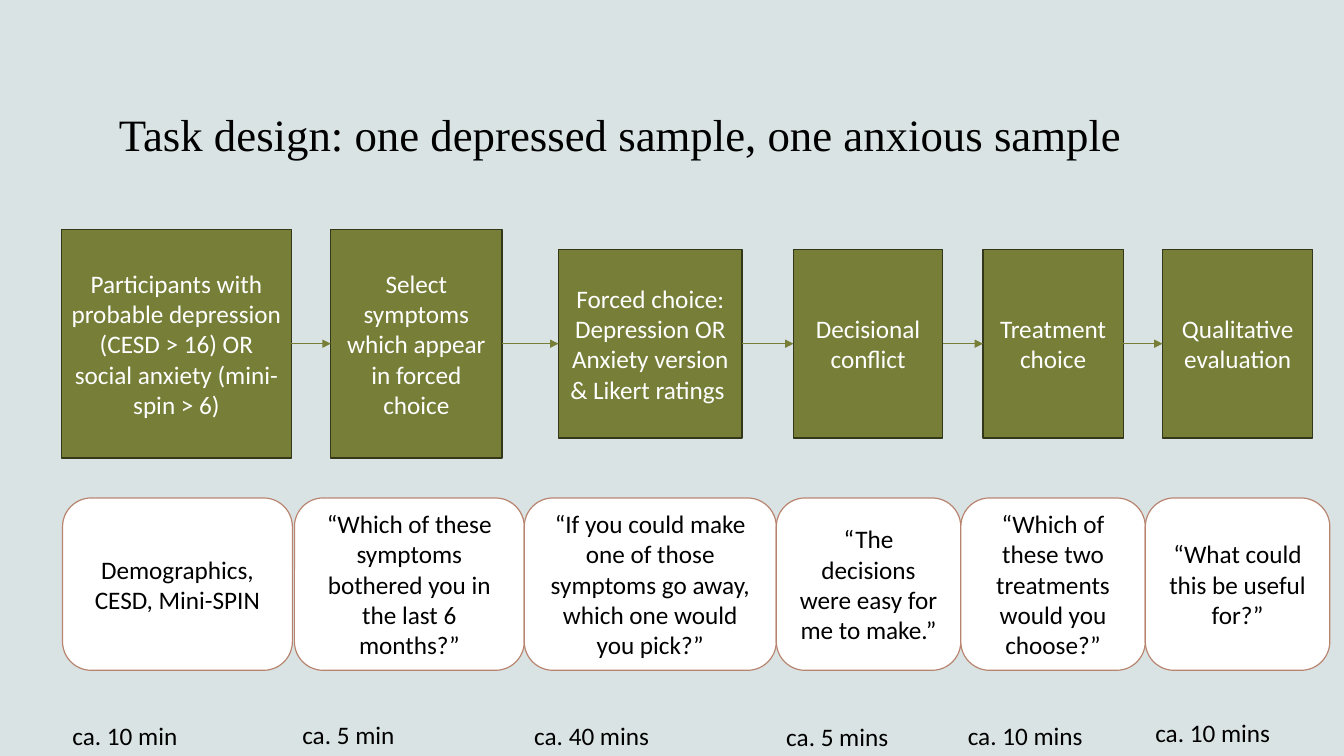
import pptx
import pptx.util
import pptx.dml.color
import pptx.enum.shapes
import pptx.enum.text
import pptx.oxml
import pptx.oxml.ns

Inches = pptx.util.Inches
Pt = pptx.util.Pt
RGBColor = pptx.dml.color.RGBColor
MSO_SHAPE = pptx.enum.shapes.MSO_SHAPE
MSO_ANCHOR = pptx.enum.text.MSO_ANCHOR
PP_ALIGN = pptx.enum.text.PP_ALIGN

BACKGROUND = RGBColor(0xDA, 0xE3, 0xE3)
OLIVE = RGBColor(0x76, 0x7E, 0x37)
DARK_OLIVE = RGBColor(0x34, 0x37, 0x18)
CLAY = RGBColor(0xB8, 0x84, 0x70)
WHITE = RGBColor(0xFF, 0xFF, 0xFF)
BLACK = RGBColor(0, 0, 0)

# Step boxes share one centre line: left, width, height, text
STEP_MIDDLE = 3.41
STEPS = [
    (0.61, 2.28, 2.27, "Participants with probable depression (CESD > 16) OR "
                       "social anxiety (mini-spin > 6)"),
    (3.28, 1.70, 2.27, "Select symptoms which appear in forced choice"),
    (5.54, 1.82, 1.87, "Forced choice:\nDepression OR Anxiety version & Likert ratings "),
    (7.87, 1.48, 1.87, "Decisional conflict"),
    (9.75, 1.39, 1.87, "Treatment choice"),
    (11.53, 1.49, 1.87, "Qualitative evaluation"),
]

# Question boxes: left, width, text
QUESTION_TOP, QUESTION_HEIGHT = 4.94, 1.71
QUESTIONS = [
    (0.62, 2.28, "Demographics, CESD, Mini-SPIN"),
    (2.92, 2.28, "“Which of these symptoms bothered you in the last 6 months?”"),
    (5.20, 2.50, "“If you could make one of those symptoms go away, which one would you pick?”"),
    (7.70, 1.83, "“The decisions were easy for me to make.”"),
    (9.53, 1.83, "“Which of these two treatments would you choose?”"),
    (11.36, 1.83, "“What could this be useful for?”"),
]

# Durations: left, top, width, text
DURATIONS = [
    (0.62, 7.10, 1.37, "ca. 10 min"),
    (2.90, 7.09, 1.23, "ca. 5 min"),
    (5.20, 7.10, 1.49, "ca. 40 mins"),
    (7.70, 7.11, 1.34, "ca. 5 mins"),
    (9.50, 7.10, 1.49, "ca. 10 mins"),
    (11.36, 7.07, 1.49, "ca. 10 mins"),
]


class SlideBuilder:
    """Holds the text style and the current slide."""

    font = "Calibri"
    size = 18

    def __init__(self, prs):
        self.slide = prs.slides.add_slide(prs.slide_layouts[6])
        fill = self.slide.background.fill
        fill.solid()
        fill.fore_color.rgb = BACKGROUND

    def set_text(self, tf, text, color, align, font=None, size=None):
        tf.text = text
        for p in tf.paragraphs:
            p.alignment = align
            p.font.name = font or self.font
            p.font.size = Pt(size or self.size)
            p.font.color.rgb = color

    def box(self, kind, left, top, width, height, text, fill, line, color):
        sp = self.slide.shapes.add_shape(
            kind, Inches(left), Inches(top), Inches(width), Inches(height))
        sp.shadow.inherit = False
        sp.fill.solid()
        sp.fill.fore_color.rgb = fill
        sp.line.color.rgb = line
        sp.line.width = Pt(0.85)
        sp.text_frame.word_wrap = True
        sp.text_frame.vertical_anchor = MSO_ANCHOR.MIDDLE
        self.set_text(sp.text_frame, text, color, PP_ALIGN.CENTER)
        return sp

    def label(self, left, top, width, height, text, wrap=False,
              anchor=MSO_ANCHOR.TOP, font=None, size=None):
        sp = self.slide.shapes.add_textbox(
            Inches(left), Inches(top), Inches(width), Inches(height))
        sp.text_frame.word_wrap = wrap
        sp.text_frame.vertical_anchor = anchor
        self.set_text(sp.text_frame, text, BLACK, PP_ALIGN.LEFT, font, size)
        return sp

    def arrow(self, start, end):
        line = self.slide.shapes.add_connector(
            pptx.enum.shapes.MSO_CONNECTOR.STRAIGHT, 0, 0, 0, 0)
        line.begin_connect(start, 3)
        line.end_connect(end, 1)
        line.line.color.rgb = OLIVE
        line.line.width = Pt(0.75)
        qn = pptx.oxml.ns.qn
        ln = line._element.spPr.find(qn("a:ln"))
        ln.append(ln.makeelement(qn("a:tailEnd"), {"type": "triangle"}))
        ln.addnext(ln.makeelement(qn("a:effectLst"), {}))


def main():
    prs = pptx.Presentation()
    prs.slide_width = Inches(13.33)
    prs.slide_height = Inches(7.5)
    s = SlideBuilder(prs)

    # Title
    title = s.label(1.08, 0.43, 11.17, 1.22,
                    "Task design: one depressed sample, one anxious sample",
                    wrap=True, anchor=MSO_ANCHOR.BOTTOM,
                    font="Times New Roman", size=32)
    title.text_frame.paragraphs[0].line_spacing = 0.9

    # Steps and the arrows between them
    steps = [s.box(MSO_SHAPE.RECTANGLE, left, STEP_MIDDLE - height / 2, width, height,
                   text, OLIVE, DARK_OLIVE, WHITE)
             for left, width, height, text in STEPS]
    for start, end in zip(steps, steps[1:]):
        s.arrow(start, end)

    # Questions
    for left, width, text in QUESTIONS:
        s.box(MSO_SHAPE.ROUNDED_RECTANGLE, left, QUESTION_TOP, width, QUESTION_HEIGHT,
              text, WHITE, CLAY, BLACK)

    # Durations
    for left, top, width, text in DURATIONS:
        s.label(left, top, width, 0.4, text)

    prs.save("out.pptx")


if __name__ == "__main__":
    main()
